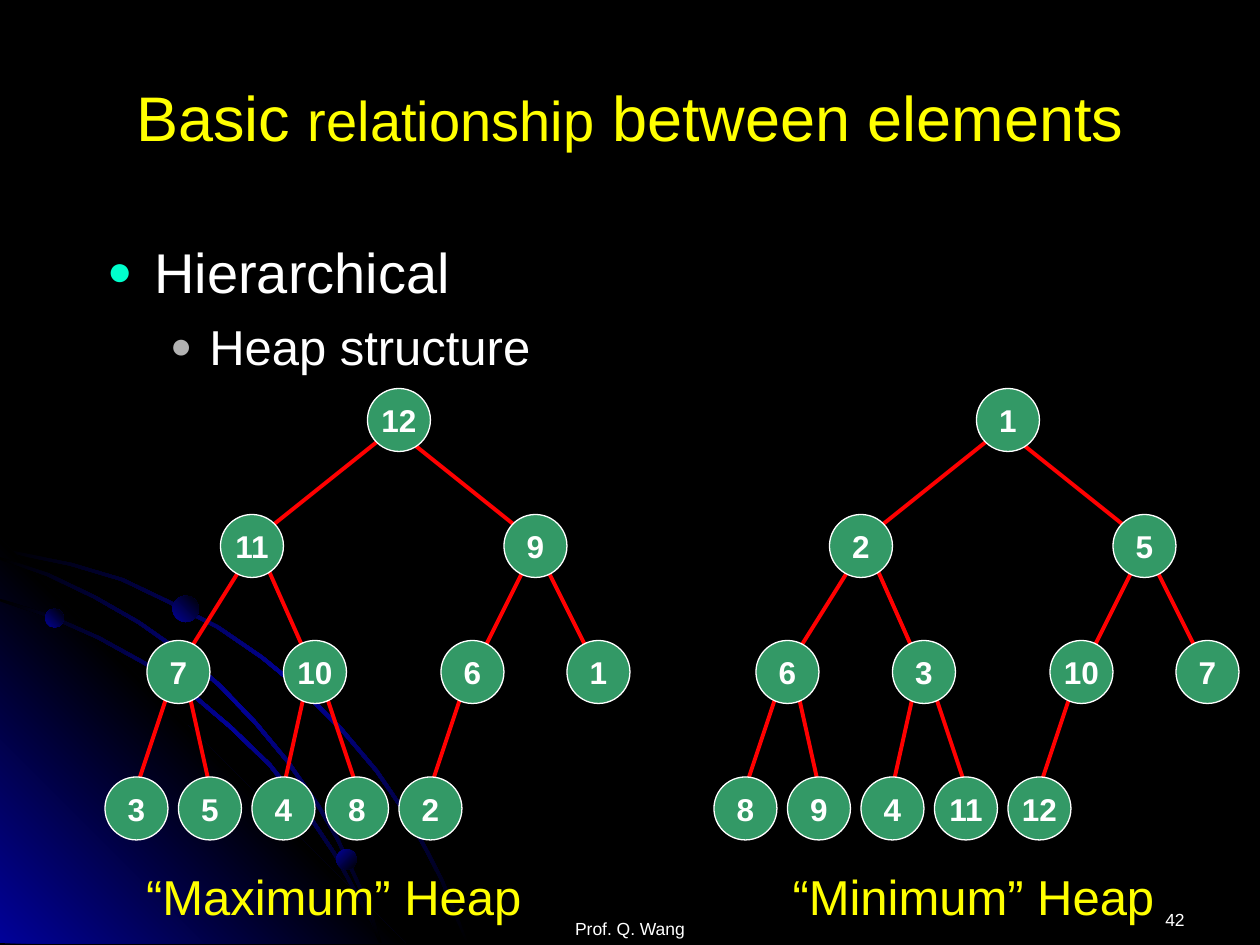
import pptx
import pptx.util
import pptx.oxml
import pptx.oxml.ns
import pptx.dml.color
import pptx.enum.shapes
import pptx.enum.text

Cm = pptx.util.Cm
Pt = pptx.util.Pt
RGB = pptx.dml.color.RGBColor
Align = pptx.enum.text.PP_ALIGN
Anchor = pptx.enum.text.MSO_ANCHOR
Shape = pptx.enum.shapes.MSO_SHAPE
qn = pptx.oxml.ns.qn

BLACK = RGB(0x00, 0x00, 0x00)
WHITE = RGB(0xFF, 0xFF, 0xFF)
YELLOW = RGB(0xFF, 0xFF, 0x00)
RED = RGB(0xFF, 0x00, 0x00)
GREEN = RGB(0x33, 0x99, 0x66)
BLUE = RGB(0x01, 0x01, 0x99)
MINT = RGB(0x00, 0xFF, 0xCC)
GREY = RGB(0xB2, 0xB2, 0xB2)

FLOOR = 19.02
BAND = 0.05
RADIUS = 3
SHIFT = 58

ARCS = [
    [(0, 11.05), (0.71, 11.2), (1.45, 11.35), (2.49, 11.66), (3.45, 12.12),
     (4.42, 12.62), (5.31, 13.23), (6.15, 13.92), (6.91, 14.68),
     (7.62, 15.52), (8.26, 16.46), (8.61, 17.09), (8.94, 17.73),
     (9.19, 18.36), (9.45, FLOOR)],
    [(0, 12.07), (1.04, 12.4), (2.01, 12.83), (2.97, 13.36), (3.86, 13.94),
     (4.67, 14.63), (5.46, 15.39), (6.15, 16.26), (6.76, 17.17),
     (7.26, 18.08), (7.52, 18.54), (7.7, FLOOR)],
    [(0, 11.23), (0.99, 11.56), (1.93, 12.01), (2.82, 12.52), (3.66, 13.11),
     (4.45, 13.79), (5.18, 14.55), (5.82, 15.32), (6.45, 16.23),
     (6.83, 16.89), (7.16, 17.6), (7.47, 18.29), (7.7, FLOOR)],
]
WEDGE = [(0, 10.85), (0, FLOOR), (8.18, FLOOR)]
DOTS = [(0.91, 12.27, 0.38, 315), (6.78, 17.12, 0.41, 45),
        (3.48, 12.01, 0.53, 315)]

SPOTS = [(38, 40), (24, 52), (51, 52),
         (17, 64), (30, 64), (45, 64), (57, 64)]
SPOTS += [(x, 77) for x in range(13, 42, 7)]
EDGES = [(39, 42, 49, 50), (26, 50, 36, 42), (52, 54, 56, 62),
         (50, 54, 46, 62), (44, 66, 41, 75), (31, 66, 34, 75),
         (25, 53, 29, 62), (23, 54, 18, 62), (18, 66, 20, 75),
         (29, 66, 27, 75), (16, 66, 13, 75)]
MAX = [12, 11, 9, 7, 10, 6, 1, 3, 5, 4, 8, 2]
MIN = [1, 2, 5, 6, 3, 10, 7, 8, 9, 4, 11, 12]


def grid(*nums):
    return [Cm(num * 2.54 / 12) for num in nums]


def node(xml):
    return pptx.oxml.parse_xml(xml.replace(
        "NS", 'xmlns:a="http://schemas.openxmlformats.org/drawingml/2006/main"'))


def write(para, text, size=18, color=WHITE, bold=False, align=Align.LEFT):
    para.alignment = align
    run = para.add_run()
    run.text = text
    font = run.font
    font.name = "Arial"
    font.size = Pt(size)
    font.bold = bold
    font.color.rgb = color


def shade(shape, hues, angle):
    shape.shadow.inherit = False
    shape.line.fill.background()
    shape.fill.background()
    step = 100000 // (len(hues) - 1)
    stops = "".join(
        f'<a:gs pos="{i * step}"><a:srgbClr val="{hue}"/></a:gs>'
        for i, hue in enumerate(hues))
    props = shape.element.spPr
    props.replace(props.find(qn("a:noFill")), node(
        f'<a:gradFill NS><a:gsLst>{stops}</a:gsLst>'
        f'<a:lin ang="{angle * 60000}" scaled="0"/></a:gradFill>'))


def outline(slide, spots, hues, angle):
    spots = [(Cm(x), Cm(y)) for x, y in spots]
    pen = slide.shapes.build_freeform(*spots[0])
    pen.add_line_segments(spots[1:], close=True)
    shade(pen.convert_to_shape(), hues, angle)


def arc(slide, rim):
    edge = [(max(x - BAND, 0), min(y + BAND, FLOOR)) for x, y in rim]
    outline(slide, rim + edge[::-1], [BLACK, BLUE, BLACK], 45)


def dot(slide, x, y, size, angle):
    shape = slide.shapes.add_shape(
        Shape.OVAL, Cm(x), Cm(y), Cm(size), Cm(size))
    shade(shape, [BLUE, BLACK], angle)


def decor(slide):
    arc(slide, ARCS[0])
    outline(slide, WEDGE, [BLUE, BLACK, BLUE], 315)
    for rim in ARCS[1:]:
        arc(slide, rim)
    for spot in DOTS:
        dot(slide, *spot)


def place(slide, shape, *box):
    shape.left, shape.top, shape.width, shape.height = grid(*box)
    slide.shapes.element.append(shape.element)
    return shape.text_frame


def point(para, text, size, hue, left, hang, space):
    props = para._p.get_or_add_pPr()
    props.set("marL", str(Cm(left)))
    props.set("indent", str(-Cm(hang)))
    for xml in (f'<a:buClr NS><a:srgbClr val="{hue}"/></a:buClr>',
                '<a:buSzPct NS val="75000"/>',
                '<a:buFont NS typeface="Arial"/>',
                '<a:buChar NS char="●"/>'):
        props.append(node(xml))
    para.space_before = Pt(space)
    write(para, text, size)


def label(slide, text, box, anchor=Anchor.TOP, tab=None, **form):
    frame = slide.shapes.add_textbox(*grid(*box)).text_frame
    frame.word_wrap = True
    frame.vertical_anchor = anchor
    para = frame.paragraphs[0]
    if tab:
        para._p.get_or_add_pPr().append(node(
            f'<a:tabLst NS><a:tab pos="{Cm(tab)}" algn="l"/></a:tabLst>'))
    write(para, text, **form)
    return frame


def edge(slide, shift, x1, y1, x2, y2):
    line = slide.shapes.add_connector(
        pptx.enum.shapes.MSO_CONNECTOR.STRAIGHT,
        *grid(x1 + shift, y1, x2 + shift, y2))
    line.line.color.rgb = RED
    line.line.width = Pt(2.25)
    line.element.spPr.append(node("<a:effectLst NS/>"))


def ball(slide, x, y, value):
    shape = slide.shapes.add_shape(Shape.OVAL, *grid(
        x - RADIUS, y - RADIUS, 2 * RADIUS, 2 * RADIUS))
    shape.shadow.inherit = False
    shape.fill.solid()
    shape.fill.fore_color.rgb = GREEN
    shape.line.color.rgb = WHITE
    shape.line.width = Pt(0.75)
    frame = shape.text_frame
    frame.word_wrap = False
    frame.vertical_anchor = Anchor.MIDDLE
    write(frame.paragraphs[0], str(value), bold=True, align=Align.CENTER)


def heap(slide, values, shift=0):
    for ends in EDGES:
        edge(slide, shift, *ends)
    for (x, y), value in zip(SPOTS, values):
        ball(slide, x + shift, y, value)


def main():
    deck = pptx.Presentation()
    deck.slide_width, deck.slide_height = grid(120, 90)
    slide = deck.slides.add_slide(deck.slide_layouts[1])
    slide.background.fill.solid()
    slide.background.fill.fore_color.rgb = BLACK
    decor(slide)

    label(slide, "42", (86, 86, 28, 4), size=10, align=Align.RIGHT)
    label(slide, "Prof. Q. Wang", (41, 84, 38, 6), Anchor.BOTTOM,
          size=10, align=Align.CENTER)

    body = place(slide, slide.placeholders[1], 9, 22, 102, 54)
    point(body.paragraphs[0], "Hierarchical", 32, MINT, 0.95, 0.95, 0)
    para = body.add_paragraph()
    para.level = 1
    point(para, "Heap structure", 28, GREY, 2.06, 0.79, 7)

    heap(slide, MAX)
    frame = label(slide, "“Maximum” Heap\t“Minimum” Heap",
                  (12.5, 81.8, 100, 7), tab=13.03, size=28, color=YELLOW)
    frame.margin_left = frame.margin_right = Cm(0.3)
    frame.margin_top = frame.margin_bottom = Cm(0.15)
    heap(slide, MIN, SHIFT)

    title = place(slide, slide.shapes.title, 6, 3.6, 108, 15)
    title.vertical_anchor = Anchor.MIDDLE
    for text, size in (("Basic ", 36), ("relationship", 32),
                       (" between elements", 36)):
        write(title.paragraphs[0], text, size, YELLOW, align=Align.CENTER)
    deck.save("out.pptx")


if __name__ == "__main__":
    main()
